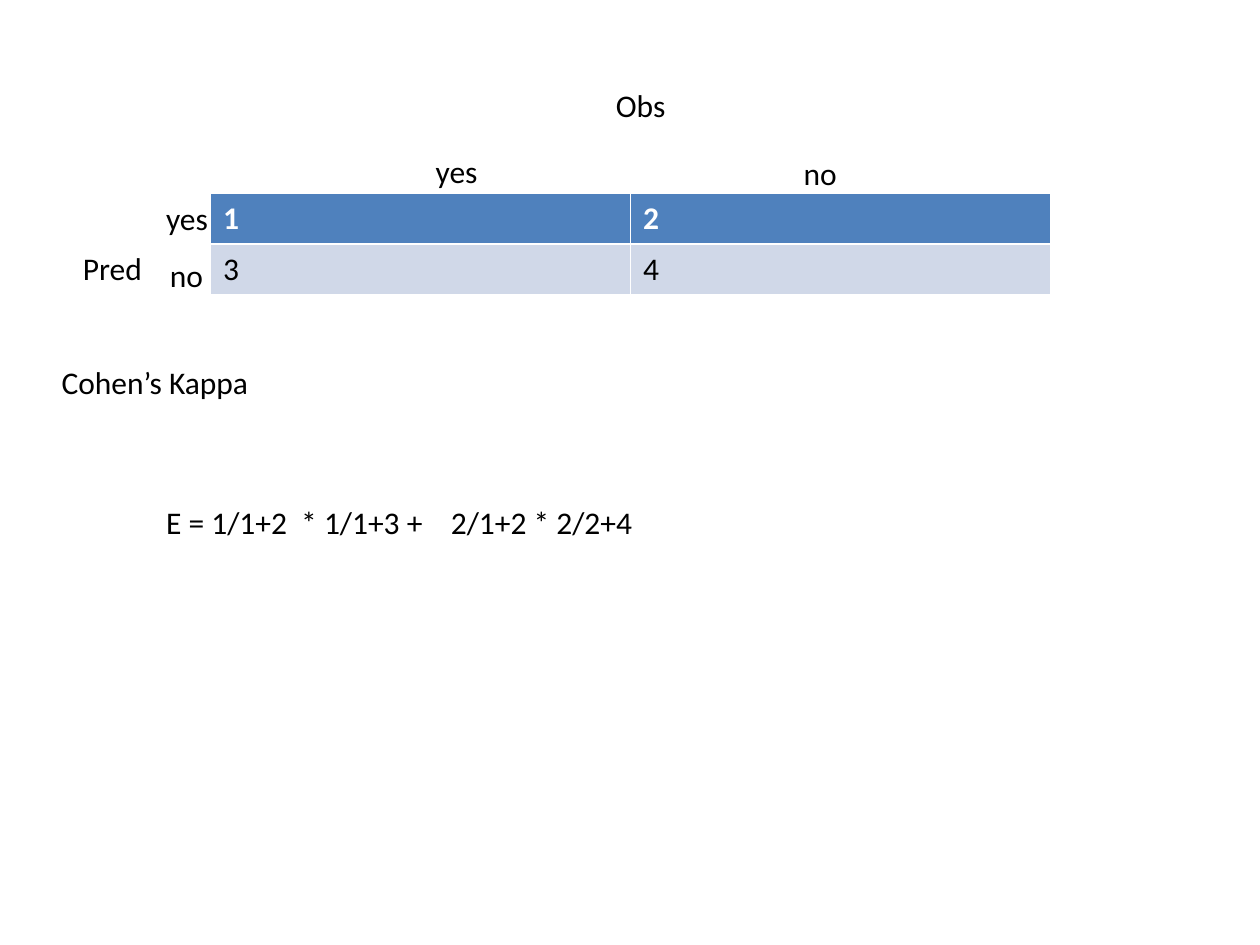
from pptx import Presentation
from pptx.dml.color import RGBColor
from pptx.util import Inches, Pt

BLACK = RGBColor(0x00, 0x00, 0x00)
WHITE = RGBColor(0xFF, 0xFF, 0xFF)
HEADER_BLUE = RGBColor(0x4F, 0x81, 0xBD)
BAND_BLUE = RGBColor(0xD0, 0xD8, 0xE8)


def format_text(frame, color, bold=False):
    for para in frame.paragraphs:
        for span in para.runs:
            span.font.name = "Calibri"
            span.font.size = Pt(18)
            span.font.bold = bold
            span.font.color.rgb = color


def add_label(page, text, left, top, width, height=Inches(0.4)):
    label = page.shapes.add_textbox(left, top, width, height)
    label.text_frame.word_wrap = False
    label.text_frame.text = text
    format_text(label.text_frame, BLACK)


def add_counts(page, left, top, width, height):
    counts = [["1", "2"], ["3", "4"]]
    styles = [(HEADER_BLUE, WHITE, True), (BAND_BLUE, BLACK, False)]
    table = page.shapes.add_table(2, 2, left, top, width, height).table
    for row, (values, (fill, color, bold)) in enumerate(zip(counts, styles)):
        for column, value in enumerate(values):
            cell = table.cell(row, column)
            cell.fill.solid()
            cell.fill.fore_color.rgb = fill
            cell.text_frame.text = value
            format_text(cell.text_frame, color, bold)


def add_confusion_matrix(page, left, top, width, height):
    table_left = left + Inches(1.11)
    table_top = top + Inches(0.9)
    add_counts(page, table_left, table_top,
               left + width - table_left, top + height - table_top)
    labels = [
        ("yes", 2.8, 0.53, 0.54, 0.4),
        ("no", 5.72, 0.54, 0.47, 0.4),
        ("Obs", 4.23, 0, 0.6, 0.4),
        ("Pred", 0, 1.3, 0.68, 0.71),
        ("yes", 0.66, 0.9, 0.54, 0.4),
        ("no", 0.69, 1.35, 0.47, 0.4),
    ]
    for text, x, y, label_width, label_height in labels:
        add_label(page, text, left + Inches(x), top + Inches(y),
                  Inches(label_width), Inches(label_height))


def add_kappa(page, left, top):
    add_label(page, "Cohen’s Kappa", left, top, Inches(1.72), Inches(0.71))
    term_left = left + Inches(0.83)
    for text, width in [("E = 1/1+2  * 1/1+3 +", Inches(2.26)),
                        ("2/1+2 * 2/2+4", Inches(1.66))]:
        add_label(page, text, term_left, top + Inches(1.11), width)
        term_left += width


def main():
    deck = Presentation()
    deck.slide_width = Inches(10)
    deck.slide_height = Inches(7.5)
    page = deck.slides.add_slide(deck.slide_layouts[6])
    add_confusion_matrix(page, Inches(0.56), Inches(0.63), Inches(7.78), Inches(1.71))
    add_kappa(page, Inches(0.39), Inches(2.83))
    deck.save("out.pptx")


if __name__ == "__main__":
    main()
